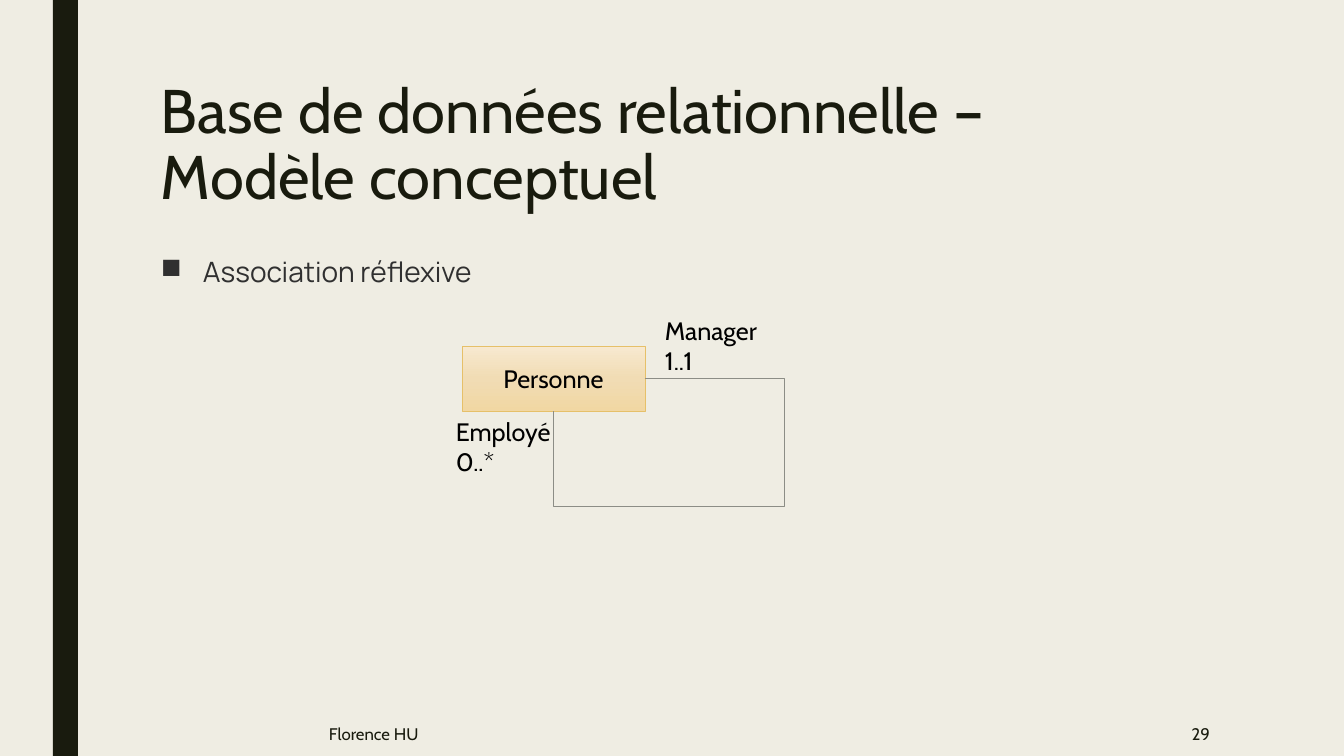
import copy
from dataclasses import dataclass, field
from typing import Any

import pptx
import pptx.dml.color
import pptx.enum.dml
import pptx.enum.shapes
import pptx.enum.text
import pptx.oxml
import pptx.oxml.ns
import pptx.util

SCALE = 914400 / 100.8  # EMU in one px
ALIGN = pptx.enum.text.PP_ALIGN
ANCHOR = pptx.enum.text.MSO_ANCHOR
GROW = pptx.enum.text.MSO_AUTO_SIZE.SHAPE_TO_FIT_TEXT
KIND = pptx.enum.shapes.MSO_SHAPE.RECTANGLE
ELBOW = pptx.enum.shapes.MSO_CONNECTOR.ELBOW
DARK, GREY, BLACK = "191B0E", "303030", "000000"


@dataclass
class Label:
    lines: list[str]
    area: tuple[int, int, int, int]
    size: int
    tint: str = DARK
    face: str = "Cabin"
    frame: dict[str, Any] = field(default_factory=dict)
    para: dict[str, Any] = field(default_factory=dict)
    bullet: str = ""


def px(num: float) -> int:
    return pptx.util.Emu(round(num * SCALE))


def color(code: str) -> pptx.dml.color.RGBColor:
    return pptx.dml.color.RGBColor.from_string(code)


def apply(item: Any, form: dict[str, Any]) -> None:
    for name, value in form.items():
        setattr(item, name, value)


def write(shape: Any, label: Label) -> None:
    frame = shape.text_frame
    frame.text = "\n".join(label.lines)
    apply(frame, {"word_wrap": True} | label.frame)
    for para in frame.paragraphs:
        apply(para, label.para)
        apply(para.font, {"name": label.face, "size": pptx.util.Pt(label.size)})
        para.font.color.rgb = color(label.tint)
        if label.bullet:
            props = para._p.get_or_add_pPr()
            props.set("marL", str(px(42)))
            props.set("indent", str(px(-42)))
            mark = pptx.oxml.parse_xml(
                f'<a:buChar {pptx.oxml.ns.nsdecls("a")} char="{label.bullet}"/>')
            props.append(mark)


def add_label(slide: Any, label: Label) -> None:
    write(slide.shapes.add_textbox(*map(px, label.area)), label)


def add_box(slide: Any, area: tuple[int, int, int, int]) -> Any:
    box = slide.shapes.add_shape(KIND, *map(px, area))
    box.shadow.inherit = False
    return box


def shade(box: Any, tints: list[str]) -> None:
    box.fill.gradient()
    box.fill.gradient_angle = 270
    stops = box.element.spPr.find(".//" + pptx.oxml.ns.qn("a:gsLst"))
    stops.append(copy.deepcopy(stops[0]))
    for step, (stop, tint) in enumerate(zip(box.fill.gradient_stops, tints)):
        stop.position = step / (len(tints) - 1)
        stop.color.rgb = color(tint)


def add_loop(slide: Any, box: Any, right: int, low: int) -> None:
    """Lead from the right side of the box round to its bottom."""
    edge, mid = box.left + box.width, box.top + box.height // 2
    base, heart = box.top + box.height, box.left + box.width // 2
    loop = slide.shapes.add_connector(ELBOW, edge, mid, heart, base)
    loop.begin_connect(box, 3)
    loop.end_connect(box, 2)
    loop.line.color.rgb = color("8C8D86")
    loop.line.width = pptx.util.Pt(0.5)
    props = loop._element.spPr
    shape = props.find(pptx.oxml.ns.qn("a:prstGeom"))
    shape.set("prst", "bentConnector4")
    bends = shape.get_or_add_avLst()
    ratios = ((edge - px(right)) / (edge - heart), (px(low) - mid) / (base - mid))
    for num, ratio in enumerate(ratios, 1):
        guide = bends.makeelement(pptx.oxml.ns.qn("a:gd"), {
            "name": f"adj{num}", "fmla": f"val {round(ratio * 100000)}"})
        bends.append(guide)
    props.append(props.makeelement(pptx.oxml.ns.qn("a:effectLst"), {}))


MIDDLE = {"vertical_anchor": ANCHOR.MIDDLE}
FIT = {"auto_size": GROW}
LABELS = [
    Label(["Base de données relatio" "nnelle – \vModèle conceptuel"],
          (151, 76, 1058, 163), 44, para={"line_spacing": 0.89}),
    Label(["Florence HU"], (319, 712, 692, 44), 12, frame=MIDDLE),
    Label(["29"], (1044, 712, 176, 44), 12, frame=MIDDLE,
          para={"alignment": ALIGN.RIGHT}),
    Label(["Association réflexive"], (151, 252, 1058, 395), 20, GREY, "Manrope",
          para={"line_spacing": 0.94, "space_before": pptx.util.Pt(10),
                "space_after": pptx.util.Pt(2)}, bullet="■"),
    Label(["Manager", "1..1"], (655, 310, 125, 72), 18, BLACK, frame=FIT),
    Label(["Employé", "0..*"], (446, 411, 125, 72), 18, BLACK, frame=FIT),
]
PERSON = Label(["Personne"], (462, 346, 183, 65), 18, BLACK, frame=MIDDLE,
               para={"alignment": ALIGN.CENTER})


def main() -> None:
    deck = pptx.Presentation()
    apply(deck, {"slide_width": px(1344), "slide_height": px(756)})
    slide = deck.slides.add_slide(deck.slide_layouts[6])

    # Background and side bar
    slide.background.fill.solid()
    slide.background.fill.fore_color.rgb = color("EFEDE3")
    bar = add_box(slide, (53, 0, 25, 756))
    bar.fill.solid()
    bar.fill.fore_color.rgb = color(DARK)
    bar.line.fill.background()

    # Entity with its reflexive link
    box = add_box(slide, PERSON.area)
    shade(box, ["F7E9D0", "F1DCB4", "F1D7A3"])
    box.line.color.rgb = color("E6C069")
    box.line.width = pptx.util.Pt(0.5)
    write(box, PERSON)
    add_loop(slide, box, right=784, low=506)

    # Title, body, footer and roles
    for label in LABELS:
        add_label(slide, label)

    deck.save("out.pptx")


if __name__ == "__main__":
    main()
